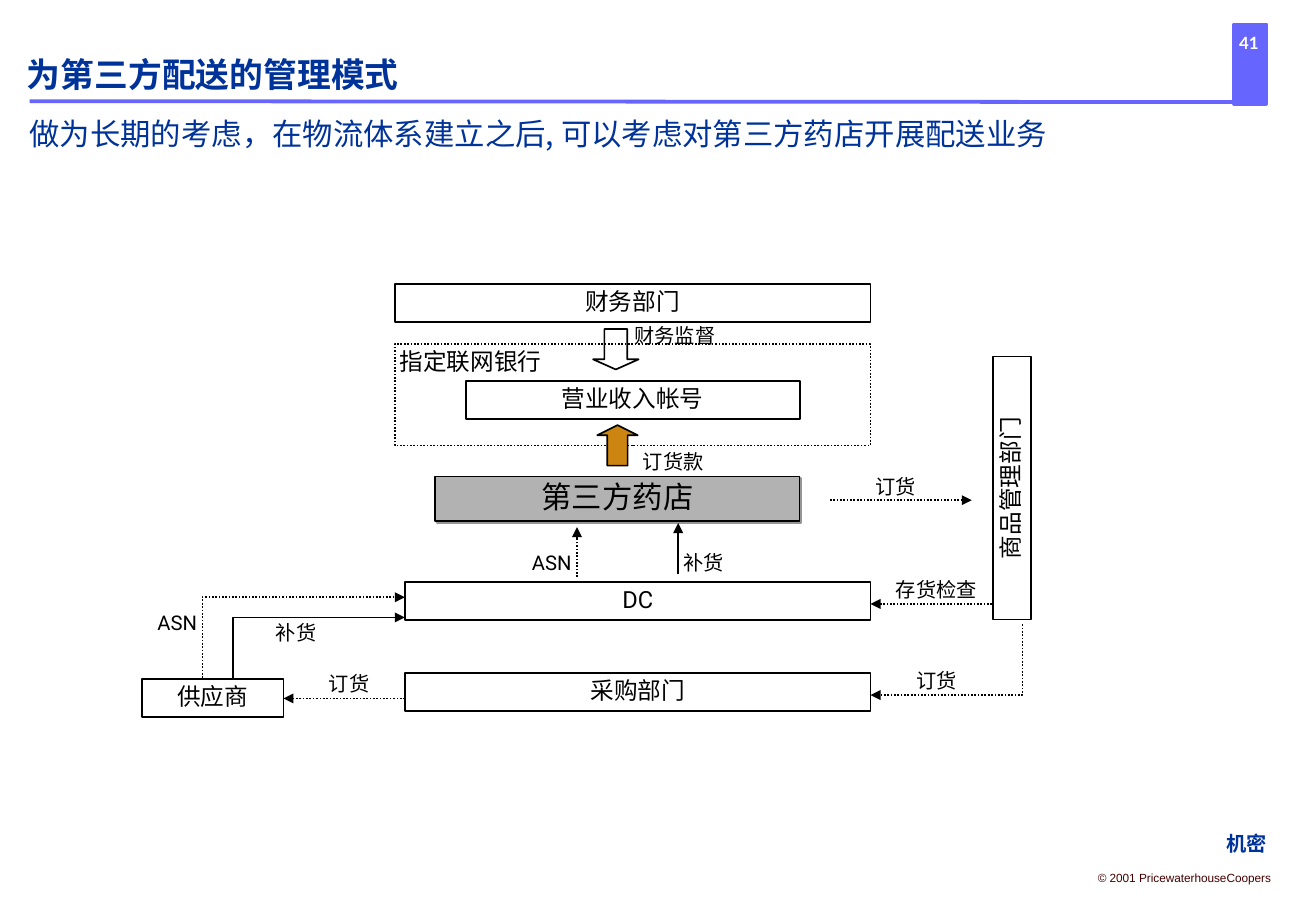
from lxml import etree
from pptx import Presentation
from pptx.dml.color import RGBColor
from pptx.enum import dml, shapes, text
from pptx.oxml import ns
from pptx.util import Pt

BLACK = RGBColor(0, 0, 0)
WHITE = RGBColor(255, 255, 255)
NAVY = RGBColor(0x00, 0x33, 0x99)
VIOLET = RGBColor(0x66, 0x66, 0xFF)
MAROON = RGBColor(0x44, 0x00, 0x00)
GREY = RGBColor(0xB2, 0xB2, 0xB2)
ORANGE = RGBColor(0xCC, 0x85, 0x10)
CJK = "Noto Sans CJK SC"
LABEL_WIDTH, LABEL_HEIGHT, BOX_HEIGHT = 126, 20, 22.5
LEFT, CENTER = text.PP_ALIGN.LEFT, text.PP_ALIGN.CENTER
MIDDLE, BOTTOM = text.MSO_ANCHOR.MIDDLE, text.MSO_ANCHOR.BOTTOM

HEADINGS = [
    ("做为长期的考虑，在物流体系建立之后, 可以考虑对第三方药店开展配送业务",
     (17.5, 42, 732, 48), 18, False),
    ("为第三方配送的管理模式", (16, 13, 699, 43), 20, True),
]
MARKS = [
    ("41", (715, 18, 50.5, 14.5), 10, "Lato", WHITE, True),
    ("© 2001 PricewaterhouseCoopers", (643.5, 512.5, 117, 16), 7, "Arial", MAROON, False),
    ("机密", (720, 486, 38, 28), 12, "Arial", NAVY, True),
]
DEPARTMENTS = [
    ("DC", 240, 345, 276),
    ("采购部门", 240, 399, 276),
    ("财务部门", 234, 168.5, 282),
    ("营业收入帐号", 276, 226, 198),
    ("供应商", 84, 402.5, 84),
]
BANK = (234, 204, 282, 60)
PHARMACY = ("第三方药店", (258, 282.5, 216, 26.5))
GOODS = ("商品管理部门", (522, 278, 156, BOX_HEIGHT))
BANK_NAME = ("指定联网银行", (228, 204, 102, BOX_HEIGHT))
BLOCK_ARROWS = [
    (shapes.MSO_SHAPE.UP_ARROW, (354, 252, 24, 24), ORANGE),
    (shapes.MSO_SHAPE.DOWN_ARROW, (351.5, 195, 27, 24), None),
]
LABELS = [
    ("ASN", 264, 324),
    ("补货", 354, 324),
    ("财务监督", 337, 190),
    ("订货款", 336, 264.5),
    ("存货检查", 492, 340),
    ("订货", 492, 394),
    ("订货", 468, 279),
    ("ASN", 42, 360),
    ("补货", 112.5, 366),
    ("订货", 144, 396),
]
FLOWS = [
    ([(342, 342), (342, 312.5)], True),
    ([(402, 340), (402, 310)], False),
    ([(492, 296.5), (576, 296.5)], True),
    ([(606, 370), (606, 412), (516, 412)], True),
    ([(588, 358), (516, 358)], True),
    ([(240, 414), (168, 414)], True),
    ([(138, 402), (138, 366), (240, 366)], False),
    ([(120, 402), (120, 354), (240, 354)], True),
]


def add_xml(parent, tag, **attributes):
    return etree.SubElement(parent, ns.qn(tag), attributes)


def set_line(shape, color=BLACK, width=1, dotted=False):
    shape.line.color.rgb = color
    shape.line.width = Pt(width)
    if dotted:
        shape.line.dash_style = dml.MSO_LINE.ROUND_DOT


def set_fill(shape, color):
    if color is None:
        shape.fill.background()
    else:
        shape.fill.solid()
        shape.fill.fore_color.rgb = color


def write(shape, words, size, font="Roboto", color=BLACK, bold=False, align=CENTER,
          anchor=MIDDLE, wrap=True, spacing=0.9, inset=None):
    frame = shape.text_frame
    frame.text = words
    frame.word_wrap = wrap
    frame.vertical_anchor = anchor
    if inset is not None:
        frame.margin_left = frame.margin_right = Pt(inset)
        frame.margin_top = frame.margin_bottom = Pt(inset)
    para = frame.paragraphs[0]
    para.alignment = align
    para.line_spacing = spacing
    span = para.runs[0]
    span.font.size = Pt(size)
    span.font.bold = bold
    span.font.color.rgb = color
    span.font.name = font
    add_xml(span.font._element, "a:ea", typeface=CJK)


def add_box(page, place, fill=None, kind=shapes.MSO_SHAPE.RECTANGLE, **line):
    box = page.shapes.add_shape(kind, *map(Pt, place))
    box.shadow.inherit = False
    set_fill(box, fill)
    set_line(box, **line)
    return box


def add_text(page, place, words, size, **style):
    write(page.shapes.add_textbox(*map(Pt, place)), words, size, **style)


def add_straight(page, start, end, **line):
    straight = page.shapes.add_connector(shapes.MSO_CONNECTOR.STRAIGHT, *map(Pt, start + end))
    add_xml(straight._element.spPr, "a:effectLst")
    set_line(straight, **line)
    return straight


def add_flow(page, points, dotted):
    if len(points) == 2:
        flow = add_straight(page, *points, dotted=dotted)
    else:
        builder = page.shapes.build_freeform(*points[0], scale=Pt(1))
        builder.add_line_segments(points[1:], close=False)
        flow = builder.convert_to_shape()
        flow.shadow.inherit = False
        set_fill(flow, None)
        set_line(flow, dotted=dotted)
    add_xml(flow.line._get_or_add_ln(), "a:tailEnd", type="triangle")


def add_shadow(shape):
    effects = shape._element.spPr.find(ns.qn("a:effectLst"))
    shadow = add_xml(effects, "a:outerShdw", dist=str(Pt(1.4)), dir="2700000")
    add_xml(shadow, "a:srgbClr", val="969696")


def main():
    deck = Presentation()
    deck.slide_width, deck.slide_height = Pt(780), Pt(540)
    page = deck.slides.add_slide(deck.slide_layouts[6])

    add_box(page, (731.5, 14.5, 19, 47), VIOLET, color=VIOLET, width=2.25)
    add_straight(page, (17.5, 60), (740, 60.5), color=VIOLET, width=2.25)
    for words, place, size, font, color, bold in MARKS:
        add_text(page, place, words, size, font=font, color=color, bold=bold,
                 wrap=False, spacing=1, inset=0)
    for words, place, size, bold in HEADINGS:
        add_text(page, place, words, size, font=CJK, color=NAVY, bold=bold,
                 align=LEFT, anchor=BOTTOM, spacing=1, inset=0)

    add_box(page, BANK, dotted=True)
    words, place = PHARMACY
    pharmacy = add_box(page, place, GREY)
    add_shadow(pharmacy)
    write(pharmacy, words, 18)
    for words, left, top, width in DEPARTMENTS:
        write(add_box(page, (left, top, width, BOX_HEIGHT)), words, 14)
    words, place = GOODS
    goods = add_box(page, place)
    goods.rotation = 270
    write(goods, words, 14)

    for kind, place, fill in BLOCK_ARROWS:
        arrow = add_box(page, place, fill, kind)
        arrow.adjustments[0], arrow.adjustments[1] = 0.5, 0.25
    for points, dotted in FLOWS:
        add_flow(page, points, dotted)
    words, place = BANK_NAME
    add_text(page, place, words, 14)
    for words, left, top in LABELS:
        add_text(page, (left, top, LABEL_WIDTH, LABEL_HEIGHT), words, 12)

    deck.save("out.pptx")


if __name__ == "__main__":
    main()
